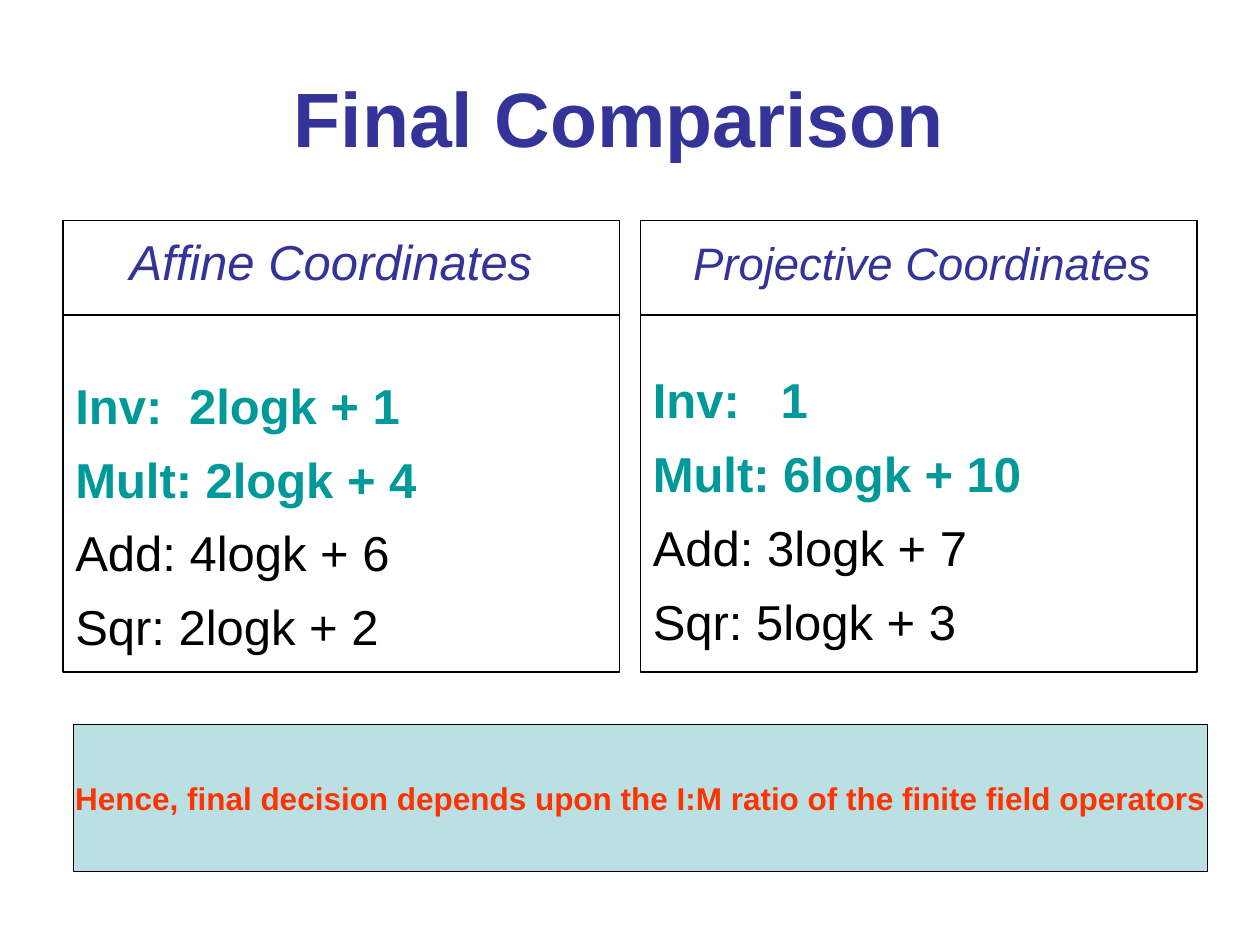
from lxml.etree import SubElement
from pptx import Presentation
from pptx.dml.color import RGBColor
from pptx.enum.shapes import MSO_CONNECTOR, MSO_SHAPE
from pptx.enum.text import MSO_ANCHOR, PP_ALIGN
from pptx.oxml.ns import qn
from pptx.util import Pt

BLACK, NAVY, TEAL = "000000", "333399", "009999"
PANEL_TOP, PANEL_WIDTH, PANEL_HEIGHT, HEADER_HEIGHT = 126, 318, 258, 54


def color(value):
    """Return the colour of a hex string."""
    return RGBColor.from_string(value)


def style(paragraph, size, ink, bold=False, italic=False):
    """Set the font of a whole paragraph."""
    font = paragraph.font
    font.name, font.size = "Arial", Pt(size)
    font.bold, font.italic = bold, italic
    font.color.rgb = color(ink)


def add_tab_stop(paragraph, position):
    """Give a paragraph one left tab stop."""
    stops = SubElement(paragraph._p.get_or_add_pPr(), qn("a:tabLst"))
    SubElement(stops, qn("a:tab"), pos=str(Pt(position)), algn="l")


def add_title(page, text):
    """Add the centred slide title."""
    frame = page.shapes.add_textbox(Pt(36), Pt(21.6), Pt(648), Pt(90)).text_frame
    frame.word_wrap = True
    frame.vertical_anchor = MSO_ANCHOR.MIDDLE
    paragraph = frame.paragraphs[0]
    paragraph.text = text
    paragraph.alignment = PP_ALIGN.CENTER
    style(paragraph, 44, NAVY, bold=True)


def add_box(page, left, top, width, height, fill=None):
    """Add a thinly outlined rectangle and return its text frame."""
    box = page.shapes.add_shape(
        MSO_SHAPE.RECTANGLE, Pt(left), Pt(top), Pt(width), Pt(height))
    box.shadow.inherit = False
    if fill:
        box.fill.solid()
        box.fill.fore_color.rgb = color(fill)
    else:
        box.fill.background()
    box.line.color.rgb = color(BLACK)
    box.line.width = Pt(0.75)
    return box.text_frame


def add_divider(page, left, y, width):
    """Add a thin horizontal line."""
    line = page.shapes.add_connector(
        MSO_CONNECTOR.STRAIGHT, Pt(left), Pt(y), Pt(left + width), Pt(y))
    line.line.color.rgb = color(BLACK)
    line.line.width = Pt(0.75)
    SubElement(line._element.spPr, qn("a:effectLst"))


def add_panel(page, left, heading, size, indent, inset, gap, tab, costs):
    """Add a headed panel that lists operation costs, the first two stressed."""
    frame = add_box(page, left, PANEL_TOP, PANEL_WIDTH, PANEL_HEIGHT)
    frame.word_wrap = True
    frame.vertical_anchor = MSO_ANCHOR.TOP
    frame.margin_top = Pt(inset)
    header = frame.paragraphs[0]
    header.text = heading
    header.alignment = PP_ALIGN.LEFT
    header._p.get_or_add_pPr().set("marL", str(Pt(indent)))
    style(header, size, NAVY, italic=True)
    for index, cost in enumerate(costs):
        paragraph = frame.add_paragraph()
        paragraph.text = cost
        paragraph.alignment = PP_ALIGN.LEFT
        if "\t" in cost:
            add_tab_stop(paragraph, tab)
        paragraph.space_before = Pt(8.5 if index else gap)
        stressed = index < 2
        style(paragraph, 28, TEAL if stressed else BLACK, bold=stressed)
    add_divider(page, left, PANEL_TOP + HEADER_HEIGHT, PANEL_WIDTH)


def add_banner(page, text):
    """Add the filled conclusion box."""
    frame = add_box(page, 42, 414, 648, 84, "BBE0E3")
    frame.word_wrap = False
    frame.vertical_anchor = MSO_ANCHOR.MIDDLE
    paragraph = frame.paragraphs[0]
    paragraph.text = text
    paragraph.alignment = PP_ALIGN.CENTER
    style(paragraph, 18, "FF3300", bold=True)


def main():
    """Build the comparison slide."""
    deck = Presentation()
    deck.slide_width, deck.slide_height = Pt(720), Pt(540)
    page = deck.slides.add_slide(deck.slide_layouts[6])
    add_title(page, "Final Comparison ")
    add_panel(page, 36, "Affine Coordinates", 28, 31, 6.4, 48.5, 65,
              ["Inv:\t2logk + 1", "Mult: 2logk + 4",
               "Add: 4logk + 6", "Sqr: 2logk + 2"])
    add_panel(page, 366, "Projective Coordinates", 26, 23, 8.2, 46, 73,
              ["Inv:\t1", "Mult: 6logk + 10",
               "Add: 3logk + 7", "Sqr: 5logk + 3"])
    add_banner(page, "Hence, final decision depends upon the I:M ratio "
                     "of the finite field operators")
    deck.save("out.pptx")


if __name__ == "__main__":
    main()
